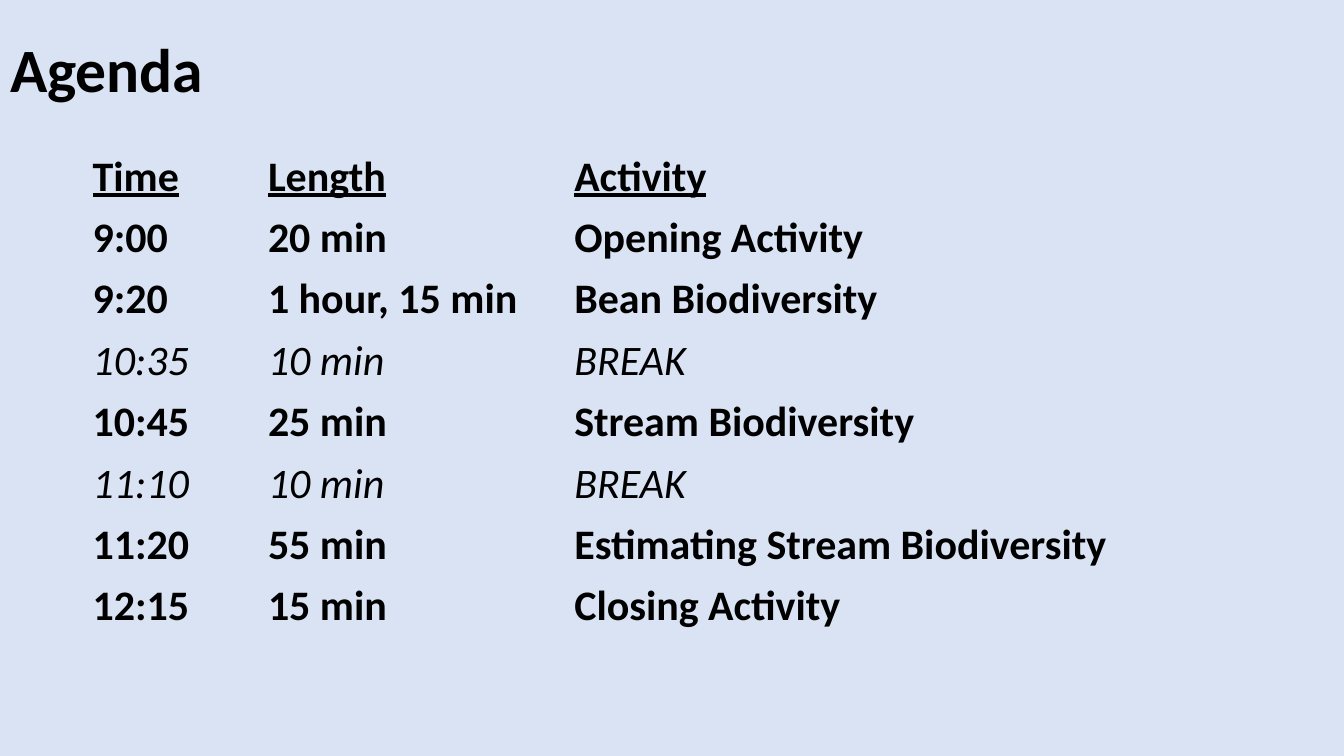
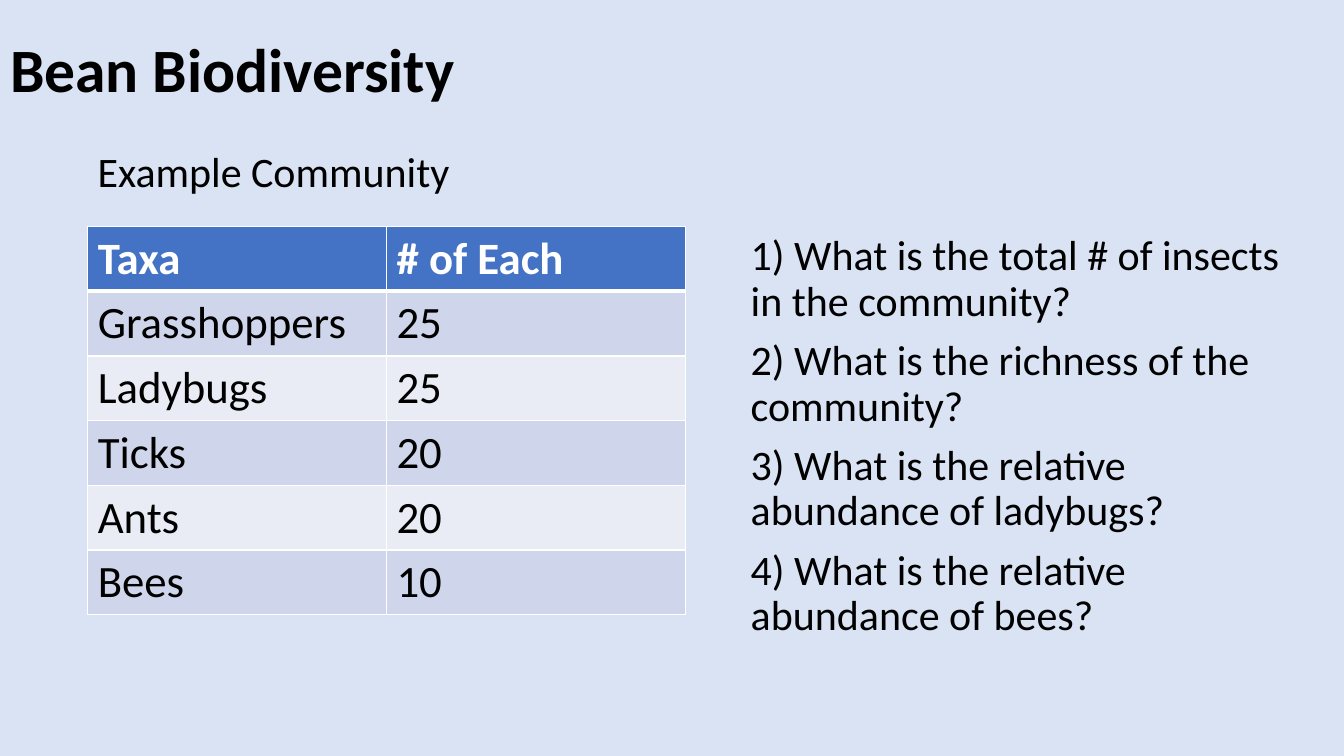
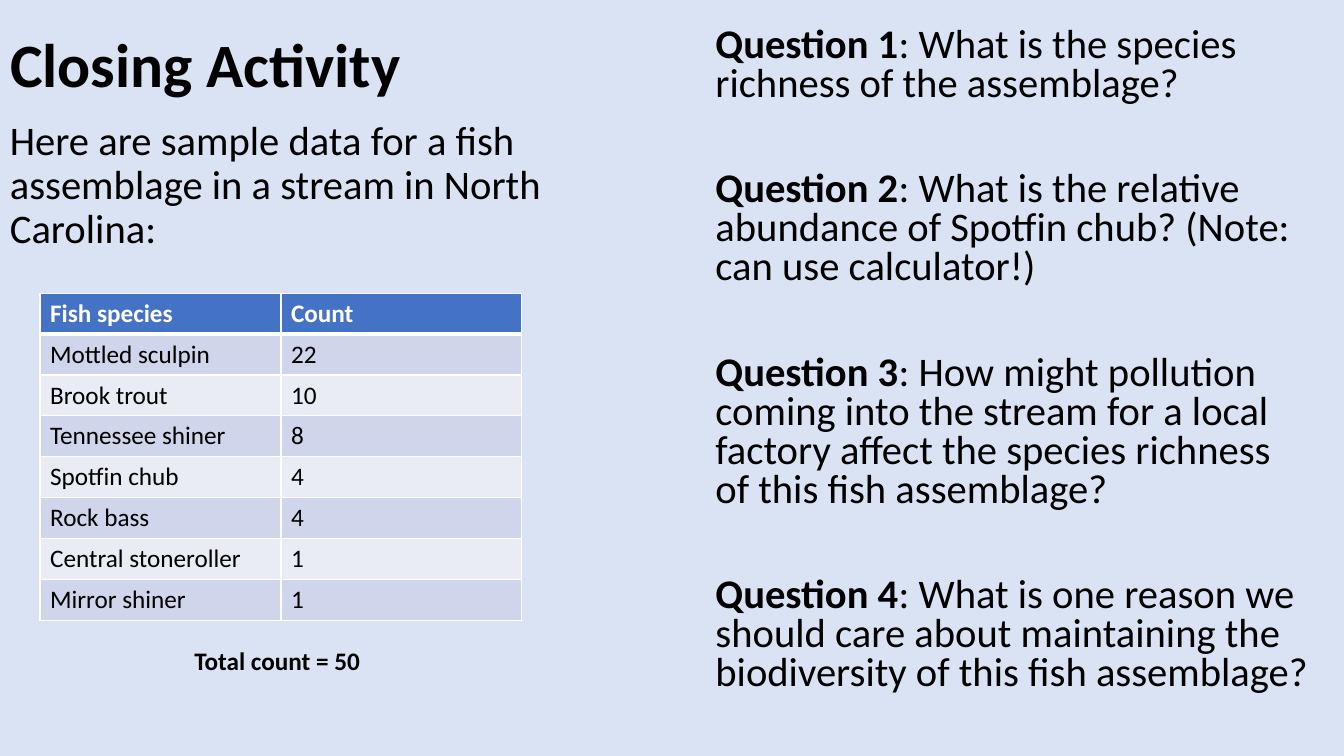
from dataclasses import dataclass

from lxml.etree import SubElement
from pptx import Presentation
from pptx.dml.color import RGBColor
from pptx.enum.text import MSO_ANCHOR, MSO_AUTO_SIZE, PP_ALIGN
from pptx.oxml.ns import qn
from pptx.presentation import Presentation as Deck
from pptx.slide import Slide
from pptx.table import _Cell as Cell
from pptx.text.text import _Paragraph as Paragraph
from pptx.util import Cm, Pt

FONT = "Calibri"
PALE_BLUE = RGBColor(0xDA, 0xE3, 0xF3)
BLACK = RGBColor(0x00, 0x00, 0x00)
WHITE = RGBColor(0xFF, 0xFF, 0xFF)
HEADER_BLUE = RGBColor(0x44, 0x72, 0xC4)
BANDS = (RGBColor(0xCF, 0xD5, 0xEA), RGBColor(0xE9, 0xEB, 0xF5))
NO_GRID_STYLE = "{2D5ABB26-0587-4C30-8999-92F81FD0307C}"
TITLE_ONLY = 5


@dataclass(frozen=True)
class Area:
    """A rectangle in centimetres."""
    left: float
    top: float
    width: float
    height: float

    def lengths(self) -> tuple[Cm, Cm, Cm, Cm]:
        return Cm(self.left), Cm(self.top), Cm(self.width), Cm(self.height)


@dataclass(frozen=True)
class Span:
    text: str
    bold: bool = False


@dataclass(frozen=True)
class Grid:
    """A table's place, column widths and row height in centimetres, and its text."""
    left: float
    top: float
    columns: tuple[float, ...]
    row_height: float
    size: int
    rows: tuple[tuple[str, ...], ...]


AGENDA = Grid(2.08, 3.68, (4.42, 7.72, 17.09), 1.54, 30, (
    ("Time", "Length", "Activity"),
    ("9:00", "20 min", "Opening Activity"),
    ("9:20", "1 hour, 15 min", "Bean Biodiversity"),
    ("10:35", "10 min", "BREAK"),
    ("10:45", "25 min", "Stream Biodiversity"),
    ("11:10", "10 min", "BREAK"),
    ("11:20", "55 min", "Estimating Stream Biodiversity"),
    ("12:15", "15 min", "Closing Activity"),
))
INSECTS = Grid(2.21, 5.71, (7.53, 7.53), 1.63, 32, (
    ("Taxa", "# of Each"),
    ("Grasshoppers", "25"),
    ("Ladybugs", "25"),
    ("Ticks", "20"),
    ("Ants", "20"),
    ("Bees", "10"),
))
FISH = Grid(1.01, 7.39, (6.07, 6.07), 1.03, 18, (
    ("Fish species", "Count"),
    ("Mottled sculpin", "22"),
    ("Brook trout", "10"),
    ("Tennessee shiner", "8"),
    ("Spotfin chub", "4"),
    ("Rock bass", "4"),
    ("Central stoneroller", "1"),
    ("Mirror shiner", "1"),
))
BEAN_QUESTIONS = (
    "What is the total # of insects in the community?",
    "What is the richness of the community?",
    "What is the relative abundance of ladybugs?",
    "What is the relative abundance of bees?",
)
FISH_QUESTIONS = (
    "What is the species richness of the assemblage?",
    "What is the relative abundance of Spotfin chub? (Note: can use calculator!)",
    "How might pollution coming into the stream for a local factory affect "
    "the species richness of this fish assemblage?",
    "What is one reason we should care about maintaining the biodiversity "
    "of this fish assemblage?",
)


def write(para: Paragraph, text: str, *, size: float, color: RGBColor = BLACK,
          bold: bool = False, italic: bool = False, underline: bool = False) -> None:
    run = para.add_run()
    run.text = text
    font = run.font
    font.name, font.size, font.color.rgb = FONT, Pt(size), color
    font.bold, font.italic, font.underline = bold, italic, underline


def add_titled_slide(deck: Deck, title: str, top: float = 0) -> Slide:
    slide = deck.slides.add_slide(deck.slide_layouts[TITLE_ONLY])
    box = slide.shapes.title
    box.left, box.top, box.width, box.height = Area(0, top, 29.21, 3.68).lengths()
    frame = box.text_frame
    frame.auto_size = MSO_AUTO_SIZE.NONE
    frame.vertical_anchor = MSO_ANCHOR.MIDDLE
    para = frame.paragraphs[0]
    para.alignment, para.line_spacing = PP_ALIGN.LEFT, 0.9
    write(para, title, size=44, bold=True)
    return slide


def add_text(slide: Slide, area: Area, paragraphs: list[list[Span]], *, size: float,
             line_spacing: float = 0.9, gap: float = 10, wrap: bool = True) -> None:
    """Add a text box; gap is the space in points between paragraphs."""
    frame = slide.shapes.add_textbox(*area.lengths()).text_frame
    frame.word_wrap = wrap
    for index, spans in enumerate(paragraphs):
        para = frame.add_paragraph() if index else frame.paragraphs[0]
        para.line_spacing = line_spacing
        para.space_before = Pt(gap if index else 0)
        for span in spans:
            write(para, span.text, size=size, bold=span.bold)


def add_grid(slide: Slide, grid: Grid) -> list[list[Cell]]:
    """Add a plain table without text and return its cells by row."""
    area = Area(grid.left, grid.top, sum(grid.columns), grid.row_height * len(grid.rows))
    table = slide.shapes.add_table(len(grid.rows), len(grid.columns), *area.lengths()).table
    table.first_row = table.horz_banding = False
    table._tbl.tblPr.find(qn("a:tableStyleId")).text = NO_GRID_STYLE
    for column, width in zip(table.columns, grid.columns):
        column.width = Cm(width)
    for row in table.rows:
        row.height = Cm(grid.row_height)
    return [list(row.cells) for row in table.rows]


def add_borders(cell: Cell, bottom: float, top: float) -> None:
    """Draw white borders, which must precede the fill in the cell's properties."""
    properties = cell._tc.get_or_add_tcPr()
    for index, (side, width) in enumerate((("L", 1), ("R", 1), ("T", top), ("B", bottom))):
        line = properties.makeelement(qn(f"a:ln{side}"), {"w": str(Pt(width))})
        fill = SubElement(line, qn("a:solidFill"))
        SubElement(fill, qn("a:srgbClr"), val=str(WHITE))
        properties.insert(index, line)


def add_banded_table(slide: Slide, grid: Grid) -> None:
    for index, (cells, texts) in enumerate(zip(add_grid(slide, grid), grid.rows)):
        header = index == 0
        for cell, text in zip(cells, texts):
            cell.fill.solid()
            cell.fill.fore_color.rgb = HEADER_BLUE if header else BANDS[(index - 1) % 2]
            add_borders(cell, bottom=3 if header else 1, top=3 if index == 1 else 1)
            write(cell.text_frame.paragraphs[0], text, size=grid.size,
                  color=WHITE if header else BLACK, bold=header)


def add_agenda_table(slide: Slide, grid: Grid) -> None:
    for index, (cells, texts) in enumerate(zip(add_grid(slide, grid), grid.rows)):
        is_break = texts[-1] == "BREAK"
        for cell, text in zip(cells, texts):
            cell.fill.background()
            write(cell.text_frame.paragraphs[0], text, size=grid.size,
                  bold=not is_break, italic=is_break, underline=index == 0)


def build_agenda(deck: Deck) -> None:
    add_agenda_table(add_titled_slide(deck, "Agenda"), AGENDA)


def build_bean_biodiversity(deck: Deck) -> None:
    slide = add_titled_slide(deck, "Bean Biodiversity")
    add_text(slide, Area(2.21, 3.68, 28.12, 1.55), [[Span("Example Community")]], size=30)
    add_banded_table(slide, INSECTS)
    questions = [[Span(f"{number}) {text}")] for number, text in enumerate(BEAN_QUESTIONS, 1)]
    add_text(slide, Area(18.67, 5.79, 14.07, 10.77), questions, size=30)


def build_closing_activity(deck: Deck) -> None:
    slide = add_titled_slide(deck, "Closing Activity", top=-0.15)
    intro = "Here are sample data for a fish assemblage in a stream in North Carolina:"
    add_text(slide, Area(0, 2.92, 16.33, 13.21), [[Span(intro)]], size=29)
    questions = [[Span(f"Question {number}", bold=True), Span(f": {text}")]
                 for number, text in enumerate(FISH_QUESTIONS, 1)]
    add_text(slide, Area(17.78, 0.56, 15.47, 17.96), questions,
             size=29, line_spacing=0.8, gap=47.5)
    add_banded_table(slide, FISH)
    add_text(slide, Area(4.65, 16.13, 4.88, 1.02), [[Span("Total count = 50", bold=True)]],
             size=18, line_spacing=1, wrap=False)


def main() -> None:
    deck = Presentation()
    deck.slide_width, deck.slide_height = Cm(33.87), Cm(19.05)
    backdrop = deck.slide_master.background.fill
    backdrop.solid()
    backdrop.fore_color.rgb = PALE_BLUE
    build_agenda(deck)
    build_bean_biodiversity(deck)
    build_closing_activity(deck)
    deck.save("out.pptx")


if __name__ == "__main__":
    main()
